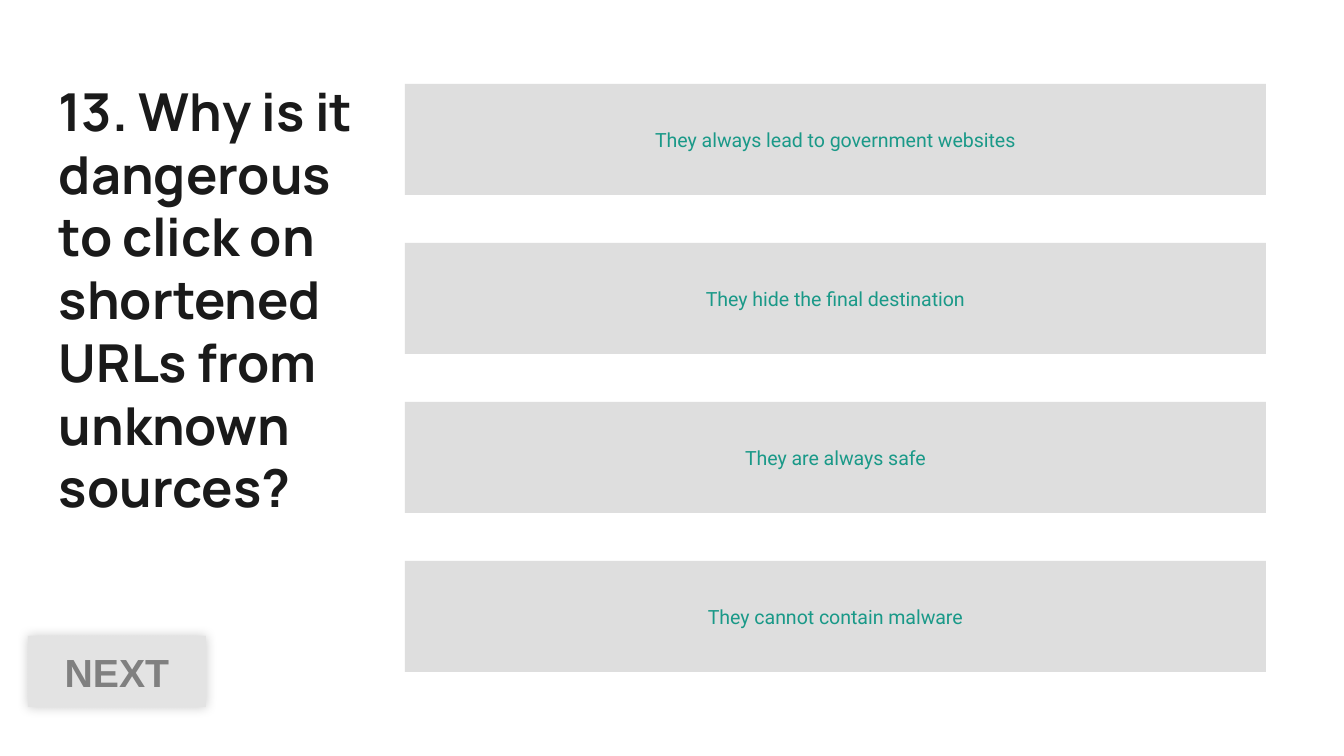
from lxml.etree import SubElement
from pptx import Presentation
from pptx.dml.color import RGBColor
from pptx.enum.shapes import MSO_SHAPE as Shape
from pptx.enum.text import MSO_ANCHOR as Anchor, MSO_AUTO_SIZE as AutoSize, PP_ALIGN as Align
from pptx.oxml.ns import qn
from pptx.util import Inches, Pt

PX = Inches(10) / 1344
ANSWERS = [
    "They always lead to government websites",
    "They hide the final destination",
    "They are always safe",
    "They cannot contain malware",
]


def px(length):
    return round(length * PX)


def color(value):
    return RGBColor.from_string(value)


def write(shape, text, *, size, font, fill, bold=False, align=Align.CENTER,
          anchor=Anchor.MIDDLE, inset=13):
    frame = shape.text_frame
    frame.word_wrap = True
    frame.auto_size = AutoSize.NONE
    frame.vertical_anchor = anchor
    frame.margin_left = frame.margin_right = px(inset)
    frame.margin_top = frame.margin_bottom = px(inset)
    para = frame.paragraphs[0]
    para.alignment = align
    span = para.add_run()
    span.text = text
    span.font.size = Pt(size)
    span.font.name = font
    span.font.bold = bold
    span.font.color.rgb = color(fill)


def add_panel(page, left, top, width, height, fill):
    panel = page.shapes.add_shape(Shape.RECTANGLE, px(left), px(top), px(width), px(height))
    panel.shadow.inherit = False
    panel.fill.solid()
    panel.fill.fore_color.rgb = color(fill)
    panel.line.fill.background()
    return panel


def add_glow(shape, fill, opacity, blur, angle):
    effects = shape._element.spPr.find(qn("a:effectLst"))
    shadow = SubElement(effects, qn("a:outerShdw"), blurRad=str(Pt(blur)), dist="0",
                        dir=str(angle * 60000), algn="bl", rotWithShape="0")
    tint = SubElement(shadow, qn("a:srgbClr"), val=fill)
    SubElement(tint, qn("a:alpha"), val=str(opacity * 1000))


def place_question(page, left, top, width, height):
    title = page.shapes.title
    title.left, title.top, title.width, title.height = map(px, (left, top, width, height))
    write(title, "13. Why is it dangerous to click on shortened URLs from unknown sources?",
          size=28, font="Manrope", fill="1A1A1A", bold=True,
          align=Align.LEFT, anchor=Anchor.TOP)


def place_answers(page, left, top, width, height, row_height=111):
    pitch = (height - row_height) / (len(ANSWERS) - 1)
    for row, answer in enumerate(ANSWERS):
        panel = add_panel(page, left, top + row * pitch, width, row_height, "DEDEDE")
        write(panel, answer, size=10.5, font="Roboto", fill="1A9988")


def place_next_button(page, left, top, width, height):
    button = add_panel(page, left, top, width, height, "E3E3E3")
    add_glow(button, "000000", opacity=20, blur=6, angle=315)
    write(button, "NEXT", size=21, font="Arial", fill="808080", bold=True, inset=6)


def main():
    deck = Presentation()
    deck.slide_width, deck.slide_height = px(1344), px(756)
    page = deck.slides.add_slide(deck.slide_layouts[5])
    place_question(page, 46, 66, 345, 550)
    place_answers(page, 405, 84, 861, 588)
    place_next_button(page, 28, 636, 178, 71)
    deck.save("out.pptx")


if __name__ == "__main__":
    main()
